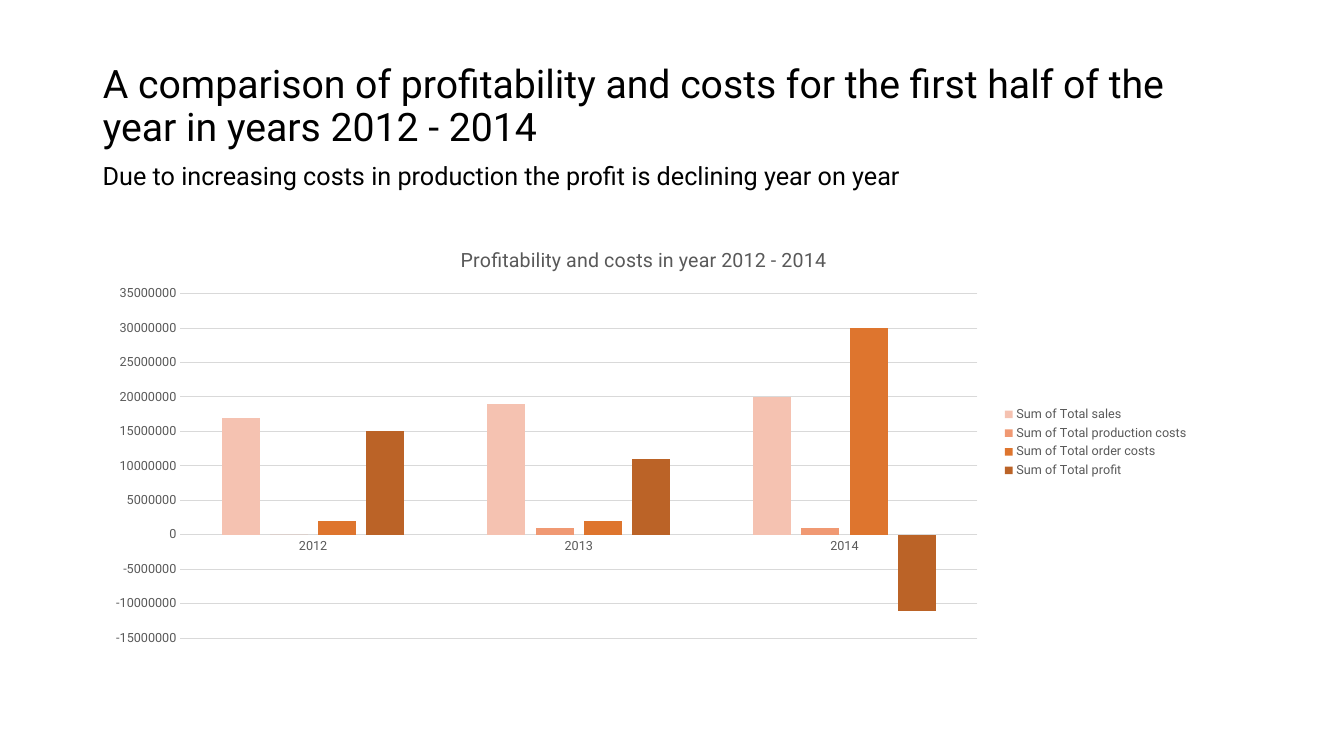
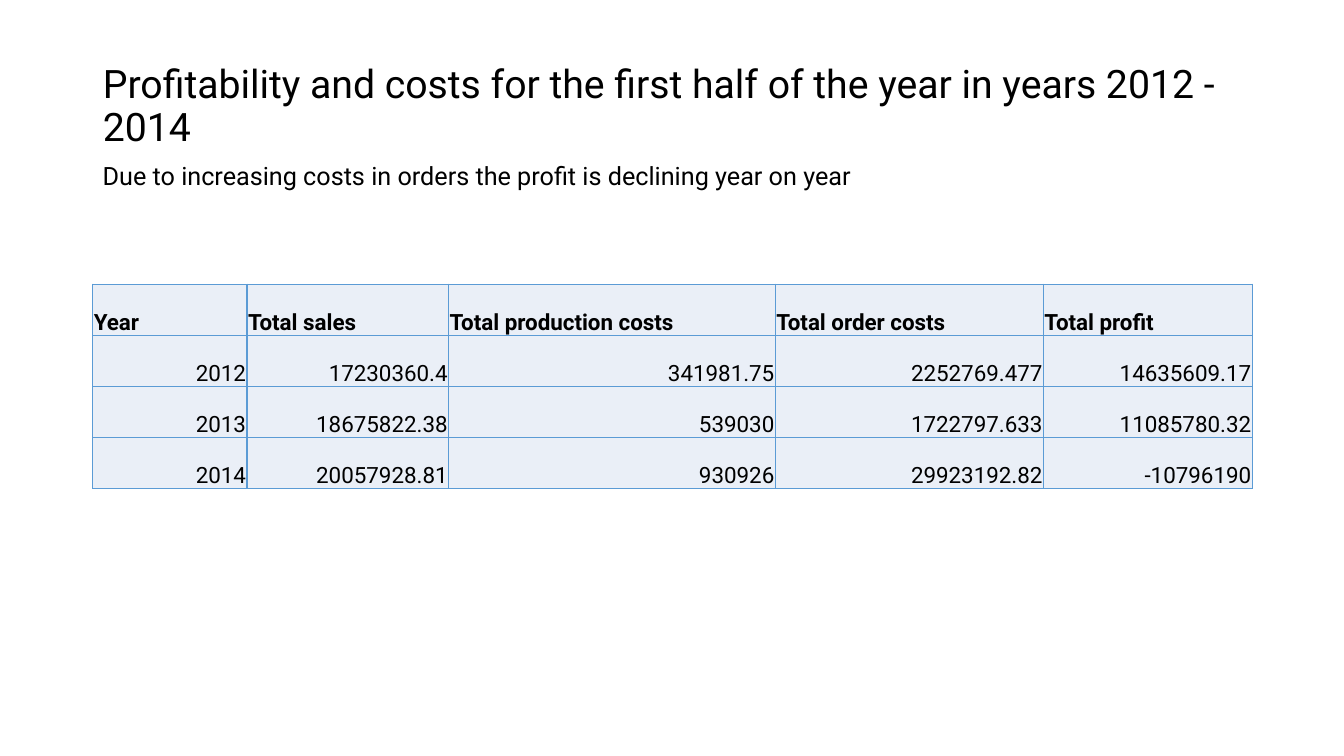
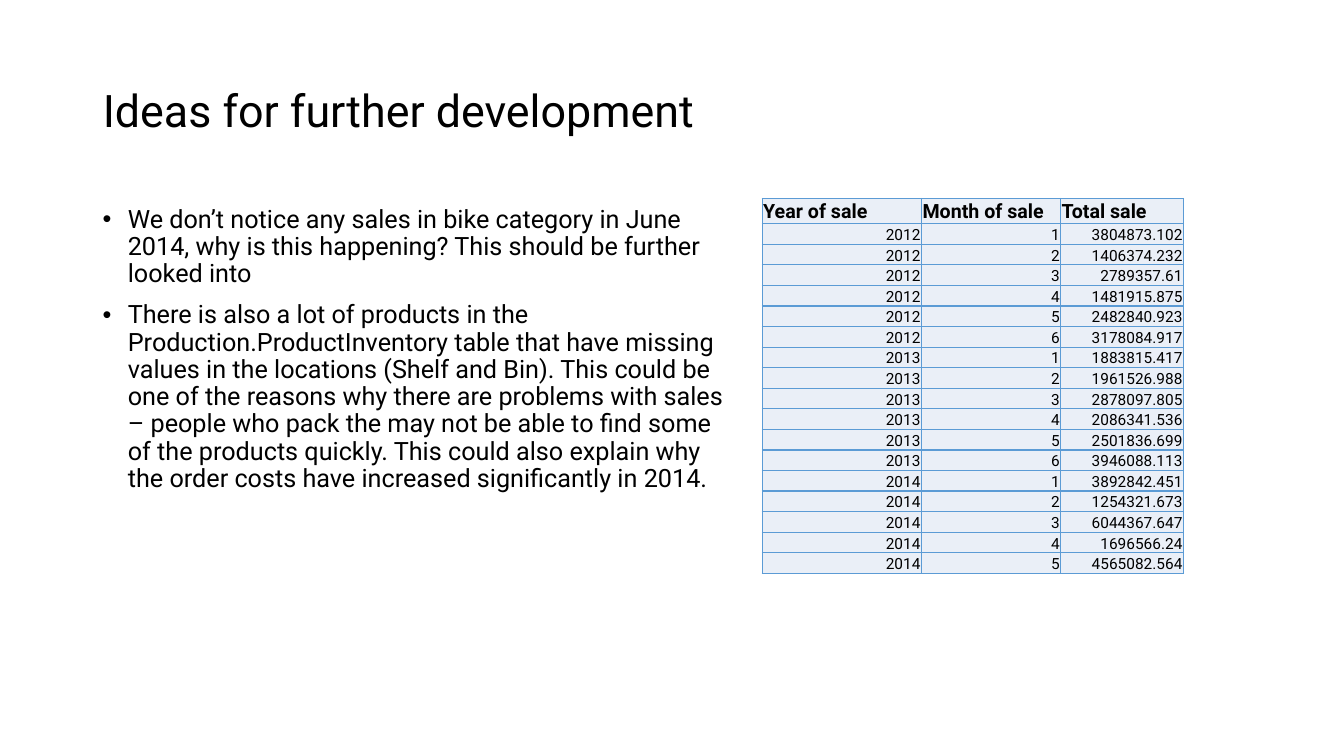
from dataclasses import dataclass

from lxml import etree
from pptx import Presentation
from pptx.chart.data import CategoryChartData
from pptx.dml.color import RGBColor
from pptx.enum.chart import XL_CHART_TYPE, XL_LEGEND_POSITION, XL_TICK_MARK
from pptx.enum.text import MSO_ANCHOR, MSO_AUTO_SIZE, PP_ALIGN
from pptx.oxml.ns import qn
from pptx.util import Pt

COLUMNS = XL_CHART_TYPE.COLUMN_CLUSTERED
LEGEND_RIGHT = XL_LEGEND_POSITION.RIGHT
NO_TICKS = XL_TICK_MARK.NONE
MIDDLE, BOTTOM = MSO_ANCHOR.MIDDLE, MSO_ANCHOR.BOTTOM
LEFT, RIGHT = PP_ALIGN.LEFT, PP_ALIGN.RIGHT
NO_AUTOFIT = MSO_AUTO_SIZE.NONE

EMU_PER_PX = 9144  # 100 px to the inch


@dataclass(frozen=True)
class Theme:
    font: str = "Roboto"
    text: str = "000000"
    muted: str = "595959"
    grid: str = "D9D9D9"
    border: str = "5B9BD5"
    cell: str = "EAEFF7"
    series: tuple = ("F5C2B1", "F09973", "DE752E", "BB6327")
    title_size: int = 28
    large_title_size: int = 32
    body_size: int = 18
    chart_title_size: int = 14
    chart_label_size: int = 9


THEME = Theme()

SUMMARY_HEADER = ["Year", "Total sales", "Total production costs",
                  "Total order costs", "Total profit"]
SUMMARY_ROWS = [
    ["2012", "17230360.4", "341981.75", "2252769.477", "14635609.17"],
    ["2013", "18675822.38", "539030", "1722797.633", "11085780.32"],
    ["2014", "20057928.81", "930926", "29923192.82", "-10796190"],
]

MONTHLY_HEADER = ["Year of sale", "Month of sale", "Total sale"]
MONTHLY_SALES = {
    "2012": ["3804873.102", "1406374.232", "2789357.61",
             "1481915.875", "2482840.923", "3178084.917"],
    "2013": ["1883815.417", "1961526.988", "2878097.805",
             "2086341.536", "2501836.699", "3946088.113"],
    "2014": ["3892842.451", "1254321.673", "6044367.647",
             "1696566.24", "4565082.564"],
}

IDEAS = [
    "We don’t notice any sales in bike category in June 2014, why is this "
    "happening? This should be further looked into",
    "There is also a lot of products in the Production.ProductInventory table "
    "that have missing values in the locations (Shelf and Bin). This could be "
    "one of the reasons why there are problems with sales – people who pack "
    "the may not be able to find some of the products quickly. This could also "
    "explain why the order costs have increased significantly in 2014.",
]


def px(length):
    return int(length * EMU_PER_PX)


def emu_box(box):
    return [px(length) for length in box]


def style_font(font, size, color=THEME.text, bold=False):
    font.name = THEME.font
    font.size = Pt(size)
    font.bold = bold
    font.color.rgb = RGBColor.from_string(color)


# Text regions
def add_title(slide, text, box, size, bottom_inset=5):
    title = slide.shapes.title
    title.left, title.top, title.width, title.height = emu_box(box)
    frame = title.text_frame
    frame.text = text
    frame.word_wrap = True
    frame.auto_size = NO_AUTOFIT
    frame.vertical_anchor = MIDDLE
    frame.margin_bottom = px(bottom_inset)
    paragraph = frame.paragraphs[0]
    paragraph.alignment = LEFT
    paragraph.line_spacing = 0.9
    style_font(paragraph.runs[0].font, size)


def add_text_box(slide, paragraphs, box):
    frame = slide.shapes.add_textbox(*emu_box(box)).text_frame
    frame.word_wrap = True
    frame.text = "\n".join(paragraphs)
    for paragraph in frame.paragraphs:
        style_font(paragraph.runs[0].font, THEME.body_size)
    return frame


def add_bullets(slide, paragraphs, box, indent=25):
    for paragraph in add_text_box(slide, paragraphs, box).paragraphs:
        paragraph.line_spacing = 0.9
        paragraph.space_before = Pt(10)
        properties = paragraph._p.get_or_add_pPr()
        properties.set("marL", str(px(indent)))
        properties.set("indent", str(-px(indent)))
        etree.SubElement(properties, qn("a:buFont")).set("typeface", "Arial")
        etree.SubElement(properties, qn("a:buChar")).set("char", "•")


# Tables
def add_cell_borders(cell):
    properties = cell._tc.get_or_add_tcPr()
    for side in ("L", "R", "T", "B"):
        line = etree.SubElement(properties, qn(f"a:ln{side}"), w=str(Pt(1)))
        fill = etree.SubElement(line, qn("a:solidFill"))
        etree.SubElement(fill, qn("a:srgbClr")).set("val", THEME.border)


def fill_cell(cell, text, size, is_header):
    cell.text = text
    cell.vertical_anchor = BOTTOM
    cell.margin_left = cell.margin_right = cell.margin_top = px(1)
    cell.margin_bottom = 0
    paragraph = cell.text_frame.paragraphs[0]
    paragraph.alignment = LEFT if is_header else RIGHT
    style_font(paragraph.runs[0].font, size, bold=is_header)
    add_cell_borders(cell)
    cell.fill.solid()
    cell.fill.fore_color.rgb = RGBColor.from_string(THEME.cell)


def add_data_table(slide, rows, box, column_widths, header_height,
                   header_size, body_size):
    table = slide.shapes.add_table(
        len(rows), len(column_widths), *emu_box(box)).table
    table.first_row = table.horz_banding = False
    for column, width in zip(table.columns, column_widths):
        column.width = px(width)
    body_height = (box[3] - header_height) / (len(rows) - 1)
    for index, values in enumerate(rows):
        is_header = index == 0
        table.rows[index].height = px(header_height if is_header else body_height)
        size = header_size if is_header else body_size
        for cell, value in zip(table.rows[index].cells, values):
            fill_cell(cell, value, size, is_header)


# Chart
def set_layout(parent, position, **fractions):
    for old_layout in parent.findall(qn("c:layout")):
        parent.remove(old_layout)
    layout = etree.Element(qn("c:layout"))
    parent.insert(position, layout)
    manual = etree.SubElement(layout, qn("c:manualLayout"))
    if "w" in fractions:
        etree.SubElement(manual, qn("c:layoutTarget")).set("val", "inner")
    for axis in ("x", "y"):
        etree.SubElement(manual, qn(f"c:{axis}Mode")).set("val", "edge")
    for name, fraction in fractions.items():
        etree.SubElement(manual, qn(f"c:{name}")).set("val", str(fraction))


def style_axes(chart):
    for axis in (chart.category_axis, chart.value_axis):
        axis.major_tick_mark = axis.minor_tick_mark = NO_TICKS
        style_font(axis.tick_labels.font, THEME.chart_label_size, THEME.muted)
    values = chart.value_axis
    values.minimum_scale, values.maximum_scale = -15000000, 35000000
    values.major_unit = 5000000
    values.tick_labels.number_format = "0"
    values.tick_labels.number_format_is_linked = False
    values.format.line.fill.background()
    for line in (values.major_gridlines.format.line,
                 chart.category_axis.format.line):
        line.color.rgb = RGBColor.from_string(THEME.grid)
        line.width = Pt(0.75)


def to_whole_millions(value):
    return int(round(float(value), -6))


def add_profit_chart(slide, box):
    data = CategoryChartData(number_format="0")
    data.categories = [row[0] for row in SUMMARY_ROWS]
    for index, name in enumerate(SUMMARY_HEADER[1:], start=1):
        data.add_series(f"Sum of {name}",
                        [to_whole_millions(row[index]) for row in SUMMARY_ROWS])
    chart = slide.shapes.add_chart(COLUMNS, *emu_box(box), data).chart
    style_font(chart.font, THEME.chart_label_size, THEME.muted)

    chart.has_title = True
    title_frame = chart.chart_title.text_frame
    title_frame.text = "Profitability and costs in year 2012 - 2014"
    style_font(title_frame.paragraphs[0].runs[0].font,
               THEME.chart_title_size, THEME.muted)
    set_layout(chart.chart_title._element, 1, x=0.33, y=0.03)

    chart.has_legend = True
    chart.legend.position = LEGEND_RIGHT
    chart.legend.include_in_layout = False
    style_font(chart.legend.font, THEME.chart_label_size, THEME.muted)

    plot = chart.plots[0]
    plot.gap_width, plot.overlap = 219, -27
    plot.vary_by_categories = False
    for series, color in zip(plot.series, THEME.series):
        series.invert_if_negative = False
        series.format.fill.solid()
        series.format.fill.fore_color.rgb = RGBColor.from_string(color)
    style_axes(chart)
    plot_area = chart._chartSpace.chart.plotArea
    set_layout(plot_area, 0, x=0.08, y=0.15, w=0.72, h=0.81)


# Slides
def add_slide(presentation):
    return presentation.slides.add_slide(presentation.slide_layouts[5])


def add_report_slide(presentation, title, subtitle):
    slide = add_slide(presentation)
    add_title(slide, title, (92, 57, 1150, 145), THEME.title_size, bottom_inset=51)
    add_text_box(slide, [subtitle], (92, 154, 1206, 40))
    return slide


def add_chart_slide(presentation):
    slide = add_report_slide(
        presentation,
        "A comparison of profitability and costs for the first half of the "
        "year in years 2012 - 2014",
        "Due to increasing costs in production the profit is declining year on year")
    add_profit_chart(slide, (91, 228, 1098, 422))


def add_summary_slide(presentation):
    slide = add_report_slide(
        presentation,
        "Profitability and costs for the first half of the year in years 2012 - 2014",
        "Due to increasing costs in orders the profit is declining year on year")
    add_data_table(slide, [SUMMARY_HEADER] + SUMMARY_ROWS, (92, 282, 1150, 203),
                   (153, 200, 324, 266, 207), header_height=51,
                   header_size=16, body_size=16)


def add_ideas_slide(presentation):
    slide = add_slide(presentation)
    add_title(slide, "Ideas for further development", (92, 40, 1150, 145),
              THEME.large_title_size)
    add_bullets(slide, IDEAS, (92, 200, 646, 476))
    monthly_rows = [[year, str(month), sale]
                    for year, sales in MONTHLY_SALES.items()
                    for month, sale in enumerate(sales, start=1)]
    add_data_table(slide, [MONTHLY_HEADER] + monthly_rows, (756, 197, 418, 372),
                   (158, 138, 122), header_height=25,
                   header_size=14, body_size=11)


def main():
    presentation = Presentation()
    presentation.slide_width, presentation.slide_height = px(1333), px(750)
    add_chart_slide(presentation)
    add_summary_slide(presentation)
    add_ideas_slide(presentation)
    presentation.save("out.pptx")


if __name__ == "__main__":
    main()
